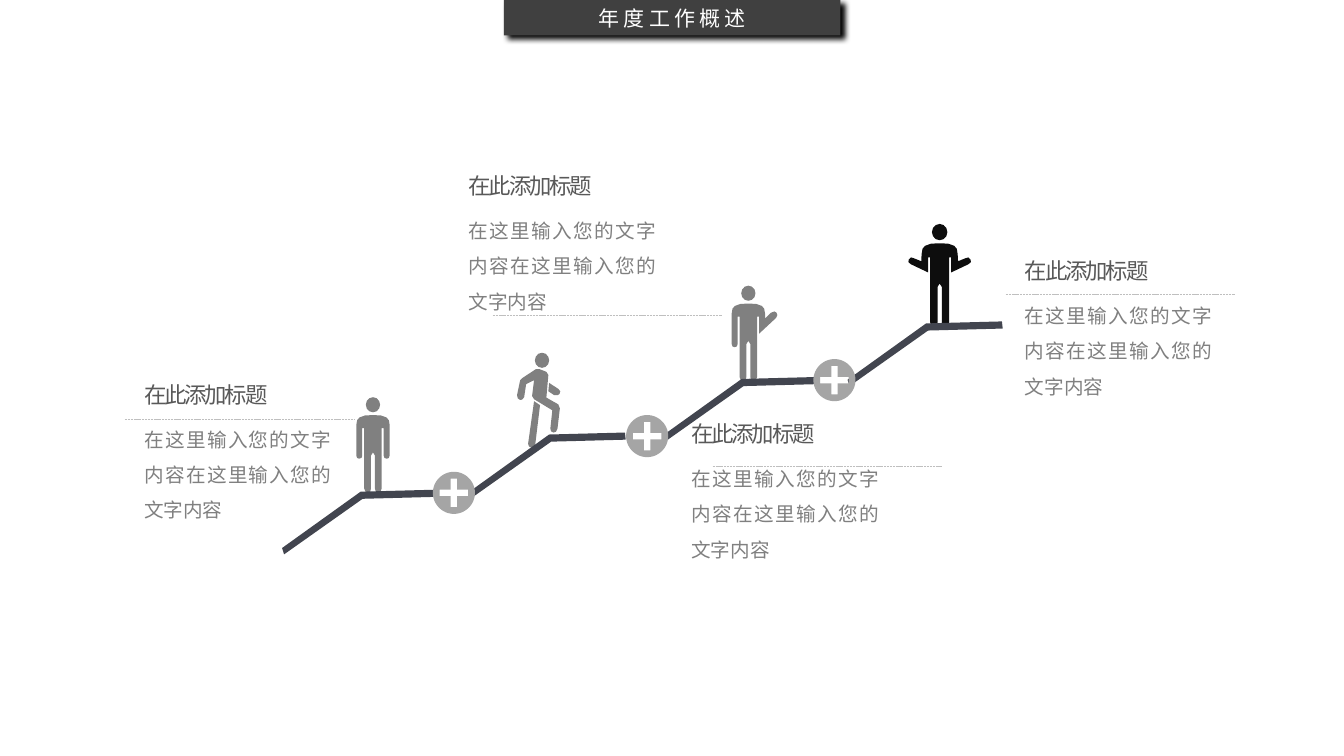
from dataclasses import dataclass
from math import cos, pi, sin

from lxml import etree
from pptx import Presentation
from pptx.dml.color import RGBColor
from pptx.enum import dml, shapes, text
from pptx.oxml import ns
from pptx.util import Cm, Pt


@dataclass(frozen=True)
class Theme:
    banner: str = "404040"
    banner_text: str = "FFFFFF"
    shadow: str = "000000"
    figure: str = "808080"
    leader: str = "0D0D0D"
    step: str = "42454F"
    badge: str = "A5A5A5"
    heading: str = "595959"
    body: str = "808080"
    rule: str = "BFBFBF"
    title_font: str = "Noto Sans CJK SC"
    text_font: str = "Arial"
    title_size: float = 15
    heading_size: float = 16
    body_size: float = 14


THEME = Theme()

HEADING = "在此添加标题"
BODY = "在这里输入您的文字内容在这里输入您的文字内容"
BLOCKS = [
    ((3.38, 9.27), (3.15, 10.57)),
    ((11.56, 4.01), (12.42, 7.95)),
    ((17.17, 10.26), (17.96, 11.76)),
    ((25.58, 6.15), (25.35, 7.42)),
]

STEP_ORIGINS = [(7.11, 12.34), (11.86, 10.9), (16.71, 9.5), (21.36, 8.1)]
STEP = [(3.89, 0), (1.98, 0.05), (0, 1.47), (0.05, 1.63), (2.03, 0.23), (3.91, 0.18)]

BADGE_CENTRES = [(16.31, 10.99), (11.44, 12.42), (21.03, 9.58)]
BADGE_RADIUS = 0.53
PLUS_REACH, PLUS_HALF = 0.36, 0.08

SHOULDER = [(0, 0), (0.2, 0.01), (0.34, 0.06), (0.4, 0.13), (0.42, 0.25)]
LEG = [(0.27, 0.33), (0.22, 0.33), (0.22, 1.85), (0.19, 1.93), (0.13, 1.96),
       (0.07, 1.93), (0.05, 1.85), (0.05, 1.02), (0, 0.94)]
ARM_DOWN = [(0.42, 1.02), (0.4, 1.08), (0.35, 1.1), (0.29, 1.08), (0.27, 1.02)]
ARM_RAISED = [(0.42, 0.38), (0.57, 0.23), (0.66, 0.2), (0.71, 0.23),
              (0.73, 0.29), (0.7, 0.36), (0.27, 0.76)]
ARM_SHRUG = [(0.43, 0.42), (0.6, 0.35), (0.67, 0.33), (0.72, 0.38),
             (0.73, 0.44), (0.67, 0.49), (0.27, 0.68)]

RUNNER_ORIGIN = (13.03, 8.89)
RUNNER_PARTS = [
    [(0, 1.07), (0.08, 0.69), (0.13, 0.64), (0.48, 0.41), (0.56, 0.41), (0.74, 0.48),
     (0.79, 0.56), (0.74, 1.13), (1.04, 1.3), (1.08, 1.4), (1.02, 1.91), (0.98, 1.99),
     (0.92, 2.01), (0.86, 1.98), (0.84, 1.91), (0.89, 1.45), (0.43, 1.17), (0.38, 1.09),
     (0.43, 0.69), (0.23, 0.79), (0.18, 1.12), (0.13, 1.18), (0.08, 1.19), (0.02, 1.15)],
    [(0.28, 2.29), (0.43, 1.22), (0.58, 1.32), (0.46, 2.31), (0.41, 2.38),
     (0.36, 2.39), (0.3, 2.36)],
    [(0.81, 0.76), (1.04, 0.91), (1.09, 0.97), (1.07, 1.04), (1.02, 1.07),
     (0.94, 1.07), (0.79, 0.97)],
]


def rgb(value):
    return RGBColor.from_string(value)


def paint(sp, color):
    sp.fill.solid()
    sp.fill.fore_color.rgb = rgb(color)
    sp.line.fill.background()
    sp.shadow.inherit = False


def add_outline(parent, origin, contours, color, scale=1):
    points = [[(Cm(origin[0] + x * scale), Cm(origin[1] + y * scale)) for x, y in contour]
              for contour in contours]
    builder = parent.build_freeform(*points[0][0])
    builder.add_line_segments(points[0][1:])
    for contour in points[1:]:
        builder.move_to(*contour[0])
        builder.add_line_segments(contour[1:])
    paint(builder.convert_to_shape(), color)


def add_head(parent, left, top, color, scale=1):
    sp = parent.add_shape(shapes.MSO_SHAPE.OVAL, Cm(left), Cm(top),
                          Cm(0.36 * scale), Cm(0.38 * scale))
    paint(sp, color)


def add_standing_figure(s, centre, left_arm, right_arm, color, scale=1):
    group = s.shapes.add_group_shape().shapes
    add_head(group, centre[0] - 0.18 * scale, centre[1] - 0.45 * scale, color, scale)
    right = SHOULDER + right_arm + LEG
    left = [(-x, y) for x, y in SHOULDER + left_arm + LEG]
    add_outline(group, centre, [right + left[-2:0:-1]], color, scale)


def add_runner(s):
    group = s.shapes.add_group_shape().shapes
    add_head(group, RUNNER_ORIGIN[0] + 0.45, RUNNER_ORIGIN[1], THEME.figure)
    for part in RUNNER_PARTS:
        add_outline(group, RUNNER_ORIGIN, [part], THEME.figure)


def add_badge(s, centre):
    circle = [(BADGE_RADIUS * cos(i * pi / 30), BADGE_RADIUS * sin(i * pi / 30))
              for i in range(60)]
    a, b = PLUS_REACH, PLUS_HALF
    plus = [(a, b), (a, -b), (b, -b), (b, -a), (-b, -a), (-b, -b),
            (-a, -b), (-a, b), (-b, b), (-b, a), (b, a), (b, b)]
    add_outline(s.shapes, centre, [circle, plus], THEME.badge)


def write(tf, content, font, size, color, align, line_spacing=1.0, spacing=0):
    tf.word_wrap = True
    p = tf.paragraphs[0]
    p.add_run().text = content
    p.alignment = align
    p.line_spacing = line_spacing
    p.font.name = font
    p.font.size = Pt(size)
    p.font.color.rgb = rgb(color)
    props = p.font._element
    props.set("spc", str(round(spacing * 100)))
    etree.SubElement(props, ns.qn("a:ea"), typeface=font)


def add_title(s):
    sp = s.shapes.title
    sp.left, sp.top, sp.width, sp.height = Cm(12.7), Cm(0), Cm(8.48), Cm(0.89)
    paint(sp, THEME.banner)
    effects = sp._element.spPr.find(ns.qn("a:effectLst"))
    shadow = etree.SubElement(effects, ns.qn("a:outerShdw"), blurRad=str(Pt(4)),
                              dist=str(Pt(4)), dir=str(40 * 60000), algn="tl", rotWithShape="0")
    color = etree.SubElement(shadow, ns.qn("a:srgbClr"), val=THEME.shadow)
    etree.SubElement(color, ns.qn("a:alpha"), val="99000")
    tf = sp.text_frame
    tf.auto_size = text.MSO_AUTO_SIZE.NONE
    tf.vertical_anchor = text.MSO_ANCHOR.MIDDLE
    write(tf, "年度工作概述", THEME.title_font, THEME.title_size, THEME.banner_text,
          text.PP_ALIGN.CENTER, spacing=3)


def add_text(s, left, top, width, height, *style, **spacing):
    tf = s.shapes.add_textbox(Cm(left), Cm(top), Cm(width), Cm(height)).text_frame
    tf.auto_size = text.MSO_AUTO_SIZE.SHAPE_TO_FIT_TEXT
    write(tf, *style, **spacing)


def add_rule(s, left, top):
    line = s.shapes.add_connector(shapes.MSO_CONNECTOR.STRAIGHT, Cm(left), Cm(top),
                                  Cm(left + 5.77), Cm(top))
    line.line.color.rgb = rgb(THEME.rule)
    line.line.width = Pt(0.5)
    line.line.dash_style = dml.MSO_LINE.SQUARE_DOT
    etree.SubElement(line._element.spPr, ns.qn("a:effectLst"))


def add_block(s, corner, rule):
    left, top = corner
    add_text(s, left, top + 1.09, 5.23, 2.84, BODY, THEME.text_font, THEME.body_size,
             THEME.body, text.PP_ALIGN.JUSTIFY, line_spacing=1.5)
    add_text(s, left, top, 5.82, 1.24, HEADING, THEME.text_font, THEME.heading_size,
             THEME.heading, text.PP_ALIGN.LEFT, line_spacing=1.3, spacing=-1.5)
    add_rule(s, *rule)


def main():
    prs = Presentation()
    prs.slide_width, prs.slide_height = Cm(33.87), Cm(19.05)
    s = prs.slides.add_slide(prs.slide_layouts[5])
    add_title(s)
    add_standing_figure(s, (9.4, 10.46), ARM_DOWN, ARM_DOWN, THEME.figure)
    add_standing_figure(s, (18.86, 7.65), ARM_DOWN, ARM_RAISED, THEME.figure)
    add_runner(s)
    add_standing_figure(s, (23.68, 6.13), ARM_SHRUG, ARM_SHRUG, THEME.leader, 1.08)
    for origin in STEP_ORIGINS:
        add_outline(s.shapes, origin, [STEP], THEME.step)
    for centre in BADGE_CENTRES:
        add_badge(s, centre)
    for corner, rule in BLOCKS:
        add_block(s, corner, rule)
    prs.save("out.pptx")


if __name__ == "__main__":
    main()
